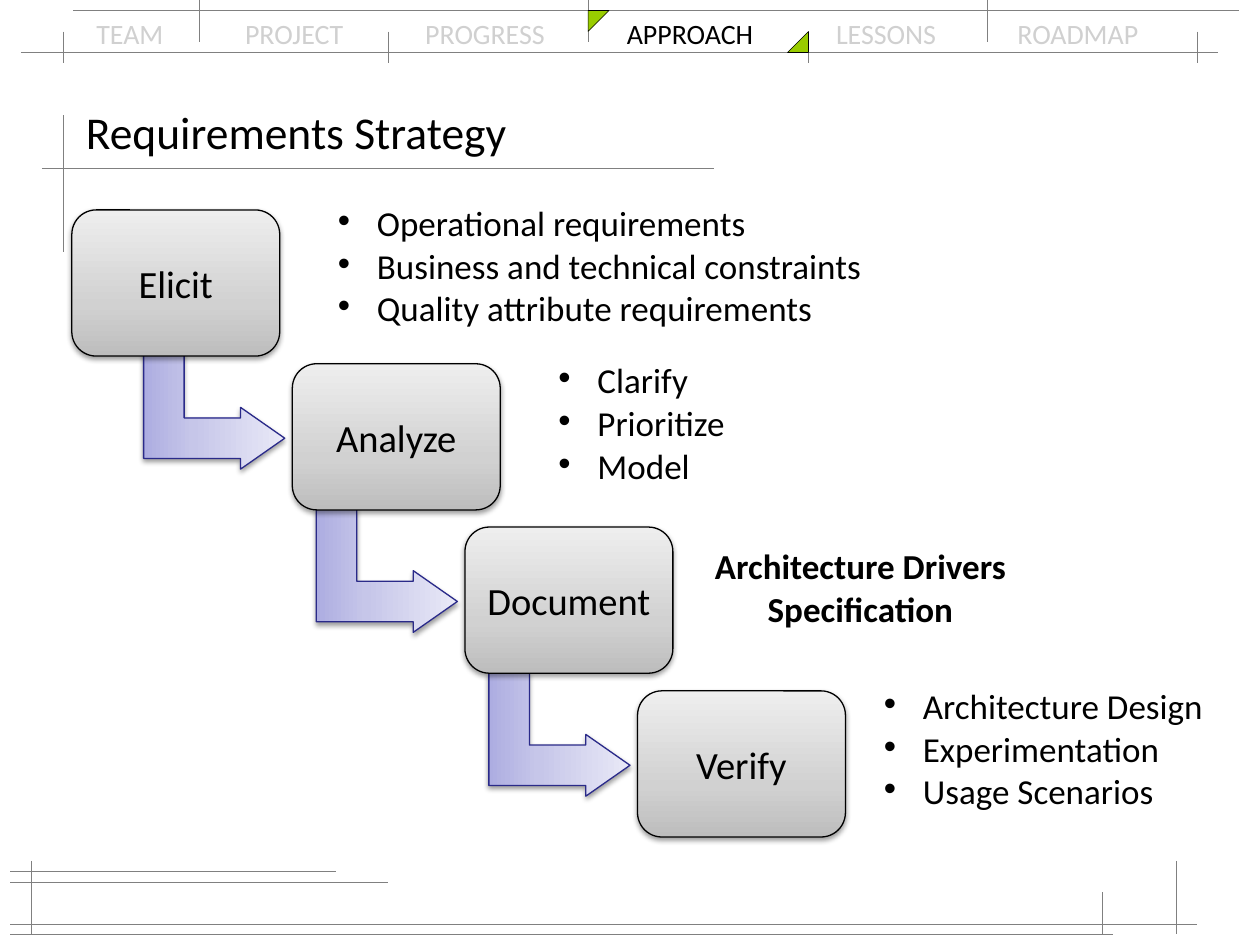
from lxml import etree
from pptx import Presentation
from pptx.dml.color import RGBColor
from pptx.enum.shapes import MSO_CONNECTOR, MSO_SHAPE
from pptx.enum.text import MSO_ANCHOR, PP_ALIGN
from pptx.oxml.ns import qn
from pptx.util import Inches, Pt

LINE = MSO_CONNECTOR.STRAIGHT
BOX, BEND, WEDGE = MSO_SHAPE.ROUNDED_RECTANGLE, MSO_SHAPE.BENT_UP_ARROW, MSO_SHAPE.RIGHT_TRIANGLE
LEFT, MID = PP_ALIGN.LEFT, PP_ALIGN.CENTER
TOP, CENTRE = MSO_ANCHOR.TOP, MSO_ANCHOR.MIDDLE

HUES = {"ink": "000000", "pale": "D0D0D0", "rule": "808080", "green": "99CC00", "navy": "2A2A89"}
GREYS = {0: "BDBDBD", 35: "D1D1D1", 100: "EEEEEE"}
BLUES = {0: "ADADE1", 35: "C6C6E9", 100: "E9E9F7"}
FONT = "Calibri"


def hue(name):
    return RGBColor.from_string(HUES[name])


def child(node, tag, **attrs):
    return etree.SubElement(node, qn(tag), {k: str(v) for k, v in attrs.items()})


class Sketch:
    """Draws on a grid of 120 columns by 90 rows, twelve cells to the inch."""

    def __init__(self, deck):
        self.cell = deck.slide_width / 120
        self.slide = deck.slides.add_slide(deck.slide_layouts[6])

    def grid(self, *cells):
        return [round(c * self.cell) for c in cells]

    def rule(self, *ends):
        line = self.slide.shapes.add_connector(LINE, *self.grid(*ends))
        line.line.color.rgb = hue("rule")
        line.line.width = Pt(0.3)
        child(line._element.spPr, "a:effectLst")

    def shape(self, kind, area, edge, width, turn=0):
        shape = self.slide.shapes.add_shape(kind, *self.grid(*area))
        shape.rotation = turn
        shape.shadow.inherit = False
        shape.line.color.rgb = hue(edge)
        shape.line.width = Pt(width)
        return shape

    def wedge(self, col, row, turn):
        shape = self.shape(WEDGE, (col, row, 2, 2), "ink", 0.3, turn)
        shape.fill.solid()
        shape.fill.fore_color.rgb = hue("green")

    def raised(self, kind, area, edge, stops, adjust, turn=0):
        shape = self.shape(kind, area, edge, 0.75, turn)
        for i, value in enumerate(adjust):
            shape.adjustments[i] = value
        # Three-stop gradient
        shape.fill.gradient()
        shape.fill.gradient_angle = 90
        props = shape._element.spPr
        ramp = props.find(qn("a:gradFill")).find(qn("a:gsLst"))
        for stop in list(ramp):
            ramp.remove(stop)
        for pos, tone in stops.items():
            child(child(ramp, "a:gs", pos=pos * 1000), "a:srgbClr", val=tone)
        # Soft shadow below
        cast = child(props.find(qn("a:effectLst")), "a:outerShdw", blurRad=Pt(3.1),
                     dist=Pt(1.6), dir=5400000, rotWithShape=0)
        child(child(cast, "a:srgbClr", val=HUES["ink"]), "a:alpha", val=38000)
        return shape

    def style(self, para, size, align=LEFT, bold=False):
        para.alignment = align
        font = para.font
        font.name, font.size, font.bold = FONT, Pt(size), bold
        font.color.rgb = hue("ink")

    def step(self, col, row, label):
        box = self.raised(BOX, (col, row, 19.8, 13.92), "ink", GREYS, [0.167])
        frame = box.text_frame
        frame.vertical_anchor = CENTRE
        frame.text = label
        self.style(frame.paragraphs[0], 22, MID)

    def elbow(self, col, row):
        """Arrow that leads into the step at this place."""
        self.raised(BEND, (col - 13.32, row - 2.57, 11.76, 13.44), "navy", BLUES,
                    [0.328, 0.25, 0.358], 90)

    def text(self, area, anchor=TOP, wrap=True):
        frame = self.slide.shapes.add_textbox(*self.grid(*area)).text_frame
        frame.word_wrap = wrap
        frame.vertical_anchor = anchor
        return frame

    def title(self, area, words):
        frame = self.text(area, CENTRE)
        frame.text = words
        self.style(frame.paragraphs[0], 26)

    def notes(self, area, lines, lead=False):
        frame = self.text(area, wrap=False)
        frame.text = "\n".join(lines)
        for i, para in enumerate(frame.paragraphs):
            if not lead:
                props = para._p.get_or_add_pPr()
                props.set("marL", str(Inches(0.31)))
                props.set("indent", str(-Inches(0.31)))
                child(props, "a:buFont", typeface="Arial")
                child(props, "a:buChar", char="•")
            para.line_spacing = 0.6
            if i:
                para.space_before = Pt(10)
            self.style(para, 20, MID if lead else LEFT, lead)

    def menu(self, area, parts, stops):
        para = self.text(area).paragraphs[0]
        tabs = child(para._p.get_or_add_pPr(), "a:tabLst")
        for stop in stops:
            child(tabs, "a:tab", pos=Inches(stop), algn="l")
        self.style(para, 16)
        for words, tone in parts:
            run = para.add_run()
            run.text = words
            run.font.color.rgb = hue(tone)


def main():
    deck = Presentation()
    deck.slide_width, deck.slide_height = Inches(10), Inches(7.5)
    page = Sketch(deck)

    # Section menu
    page.menu((8, 1, 104, 4.4),
              [("TEAM\tPROJECT\tPROGRESS\t", "pale"), ("APPROACH", "ink"),
               ("\tLESSONS\tROADMAP", "pale")],
              [1.18, 2.61, 4.21, 5.87, 7.31])

    # Drafting lines: across, then down
    for row, start, end in [(5, 2, 116), (1, 7, 118), (16, 4, 68), (84, 1, 37),
                            (88, 1, 114), (83, 1, 32), (89, 1, 106)]:
        page.rule(start, row, end, row)
    downs = [(6, 11, 24), (3, 82, 89), (112, 82, 89), (105, 85, 89)]
    downs += [(col, 3, 6) for col in (6, 37, 77, 114)]
    downs += [(col, 0, 4) for col in (19, 56, 94)]
    for col, start, end in downs:
        page.rule(col, start, col, end)

    # Corners of the current section
    page.wedge(56, 1, 90)
    page.wedge(75, 3, 270)

    page.title((7, 9, 106, 7), "Requirements Strategy")

    # Steps, each box over the arrow to the next
    steps = [(6.84, 20, "Elicit"), (27.84, 34.65, "Analyze"),
             (44.28, 50.2, "Document"), (60.72, 65.8, "Verify")]
    for i, (col, row, label) in enumerate(steps):
        if i + 1 < len(steps):
            page.elbow(*steps[i + 1][:2])
        page.step(col, row, label)

    # Notes beside the steps
    page.notes((31, 20, 52.8, 12.8), ["Operational requirements",
               "Business and technical constraints", "Quality attribute requirements"])
    page.notes((52, 35, 18.4, 12.8), ["Clarify", "Prioritize", "Model"])
    page.notes((66.6, 52.7, 30.7, 8.4), ["Architecture Drivers", "Specification"], lead=True)
    page.notes((83, 66, 32.9, 12.8),
               ["Architecture Design", "Experimentation", "Usage Scenarios"])

    deck.save("out.pptx")


if __name__ == "__main__":
    main()
